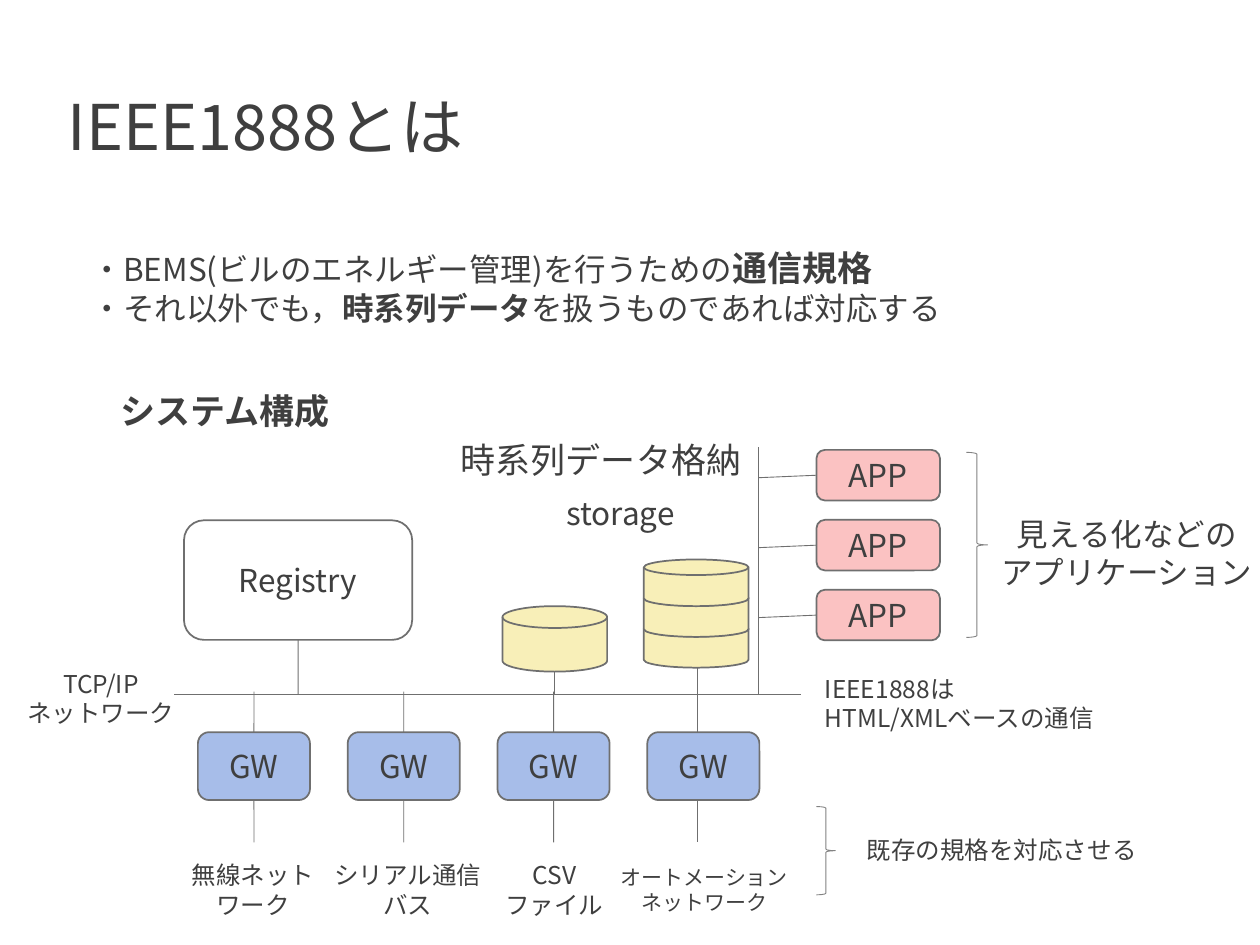
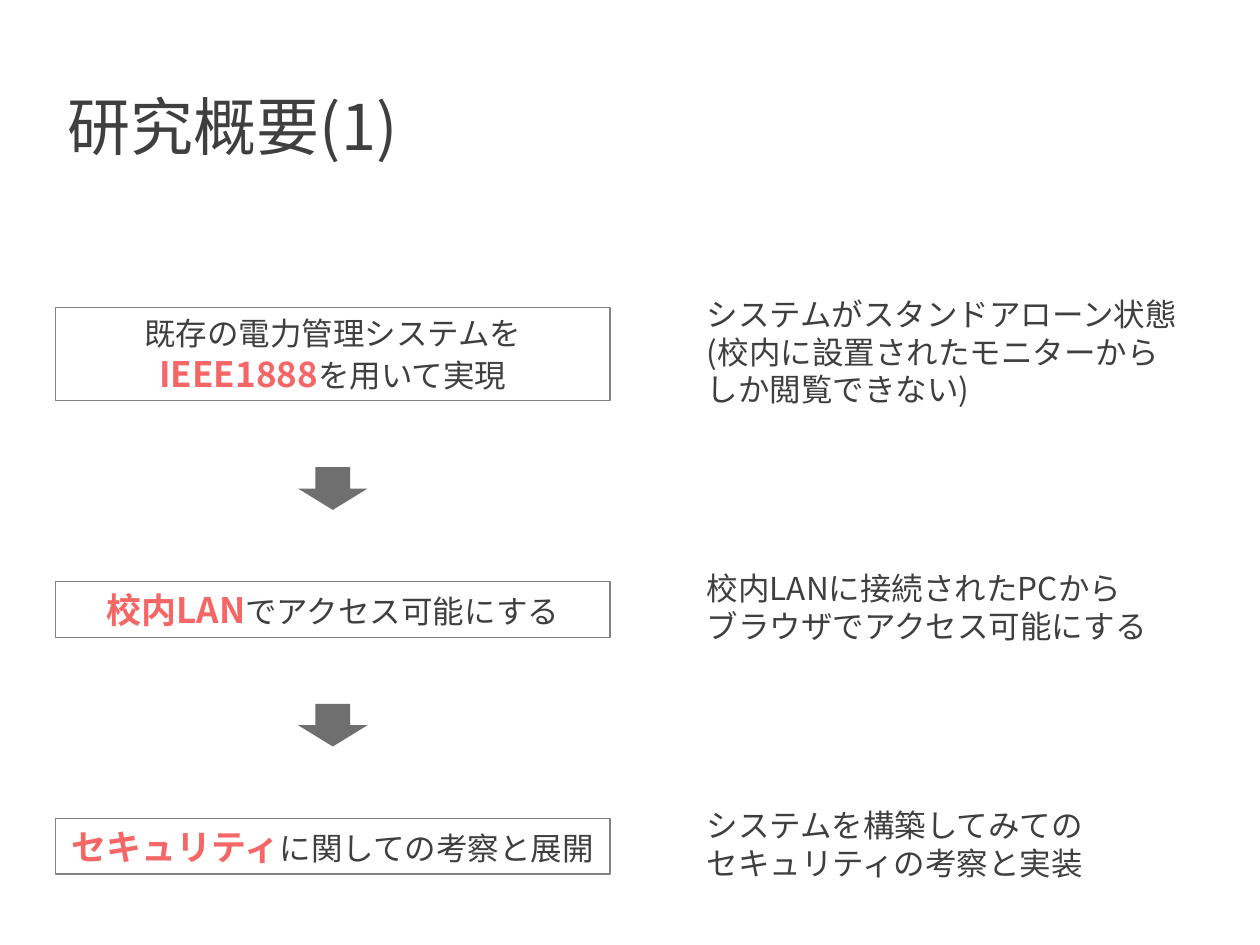
from lxml import etree
from pptx import Presentation
from pptx.dml.color import RGBColor
from pptx.enum.shapes import MSO_CONNECTOR, MSO_SHAPE
from pptx.enum.text import MSO_ANCHOR, MSO_AUTO_SIZE, PP_ALIGN
from pptx.oxml.ns import qn
from pptx.util import Cm, Pt

FONT = "Noto Sans CJK JP"
INK = RGBColor(0x3F, 0x3F, 0x3F)
GREY = RGBColor(0x6F, 0x6F, 0x6F)
OUTLINE = RGBColor(0x82, 0x82, 0x82)
ACCENT = RGBColor(0xF5, 0x67, 0x67)
WHITE = RGBColor(0xFF, 0xFF, 0xFF)
BLUE = RGBColor(0xA7, 0xBD, 0xE9)
PINK = RGBColor(0xFB, 0xC2, 0xC2)
YELLOW = RGBColor(0xF8, 0xEF, 0xB8)
LEFT, CENTER = PP_ALIGN.LEFT, PP_ALIGN.CENTER
TOP_SIDE, LEFT_SIDE, BOTTOM_SIDE = 0, 1, 2
MARGIN = 1.12


# Text: each line is a string or a list of strings and (text, style) spans
def write(frame, lines, size=18, align=LEFT):
    frame.word_wrap = True
    for index, line in enumerate(lines):
        para = frame.paragraphs[0] if index == 0 else frame.add_paragraph()
        para.alignment = align
        para.font.size = Pt(size)
        para.font.color.rgb = INK
        para.font.name = FONT
        latin = para.font._element.find(qn("a:latin"))
        east_asian = etree.Element(qn("a:ea"), typeface=FONT)
        latin.addnext(east_asian)
        for part in [line] if isinstance(line, str) else line:
            text, style = (part, {}) if isinstance(part, str) else part
            span = para.add_run()
            span.text = text
            if style:
                span.font.bold = True
            if "size" in style:
                span.font.size = Pt(style["size"])
            if "color" in style:
                span.font.color.rgb = style["color"]


def strong(text, **style):
    return text, {"bold": True, **style}


def key(text):
    return strong(text, size=20, color=ACCENT)


def add_text(page, left, top, width, height, lines, size=18, align=LEFT):
    box = page.shapes.add_textbox(Cm(left), Cm(top), Cm(width), Cm(height))
    write(box.text_frame, lines, size, align)
    box.text_frame.auto_size = MSO_AUTO_SIZE.SHAPE_TO_FIT_TEXT


def add_title(page, text):
    add_text(page, MARGIN, 1.63, 12.24, 1.8, [text], 36)


# Shapes and lines
def add_figure(page, kind, left, top, width, height, fill=None,
               line=GREY, weight=1, lines=()):
    figure = page.shapes.add_shape(kind, Cm(left), Cm(top), Cm(width), Cm(height))
    figure.shadow.inherit = False
    if fill is None:
        figure.fill.background()
    else:
        figure.fill.solid()
        figure.fill.fore_color.rgb = fill
    if line is None:
        figure.line.fill.background()
    else:
        figure.line.color.rgb = line
        figure.line.width = Pt(weight)
    if lines:
        write(figure.text_frame, lines, align=CENTER)
        figure.text_frame.vertical_anchor = MSO_ANCHOR.MIDDLE
    return figure


def add_node(page, left, top, width, height, fill, label):
    return add_figure(page, MSO_SHAPE.ROUNDED_RECTANGLE, left, top, width, height,
                      fill, lines=[label])


def add_disk(page, left, top, height):
    add_figure(page, MSO_SHAPE.FLOWCHART_MAGNETIC_DISK, left, top, 2.11, height, YELLOW)


def add_brace(page, left, top, width, height):
    add_figure(page, MSO_SHAPE.RIGHT_BRACE, left, top, width, height,
               line=OUTLINE, weight=0.5)


def add_line(page, x1, y1, x2, y2, begin=None, end=None):
    line = page.shapes.add_connector(MSO_CONNECTOR.STRAIGHT,
                                     Cm(x1), Cm(y1), Cm(x2), Cm(y2))
    line.line.color.rgb = GREY
    line.line.width = Pt(0.5)
    etree.SubElement(line._element.spPr, qn("a:effectLst"))
    if begin:
        line.begin_connect(*begin)
    if end:
        line.end_connect(*end)


# Slide 1: system structure
def add_gateways(page, bus_y):
    left, top, width, height, pitch = 3.99, 14.76, 2.26, 1.37, 3.02
    bottom = top + height
    storage_x = 14.05
    labels = [
        (3.2, 17.22, 3.81, 1.45, ["無線ネット", "ワーク"], 14),
        (6.32, 17.22, 3.81, 1.45, ["シリアル通信", "バス"], 14),
        (9.27, 17.22, 3.81, 1.45, ["CSV", "ファイル"], 14),
        (12.04, 17.3, 4.32, 1.27, ["オートメーション", "ネットワーク"], 12),
    ]
    for index, label in enumerate(labels):
        gateway = add_node(page, left + index * pitch, top, width, height, BLUE, "GW")
        # The last gateway hangs below the storage, beside its own middle
        last = index == len(labels) - 1
        x = storage_x if last else left + index * pitch + width / 2
        add_line(page, x, bus_y - 0.06, x, top,
                 end=None if last else (gateway, TOP_SIDE))
        add_line(page, x, bottom, x, bottom + 0.85,
                 begin=None if last else (gateway, BOTTOM_SIDE))
        add_text(page, *label, align=CENTER)


def add_applications(page, trunk_x):
    left, top, width, height, pitch = 16.46, 9.07, 2.49, 1.02, 1.41
    for index in range(3):
        y = top + index * pitch
        application = add_node(page, left, y, width, height, PINK, "APP")
        middle = y + height / 2
        add_line(page, trunk_x, middle + 0.05, left, middle,
                 end=(application, LEFT_SIDE))
    add_brace(page, 19.48, 9.12, 0.43, 3.73)
    add_text(page, 19.3, 10.26, 6.83, 1.8, ["見える化などの", "アプリケーション"],
             align=CENTER)


def add_storage(page, bus_y):
    add_disk(page, 10.13, 12.22, 1.32)
    for level in range(3):
        add_disk(page, 12.98, 12.52 - level * 0.62, 0.94)
    add_line(page, 11.18, 13.54, 11.18, bus_y)
    add_line(page, 14.05, 13.46, 14.05, bus_y)
    add_text(page, 10.97, 9.83, 3.07, 1.02, ["storage"], align=CENTER)
    add_text(page, 9.04, 8.71, 6.83, 1.12, ["時系列データ格納"], 20)


def build_structure(page):
    add_title(page, "IEEE1888とは")
    add_text(page, 1.6, 4.85, 22.8, 2.64, [
        ["・BEMS(ビルのエネルギー管理)を行うための", strong("通信規格", size=20)],
        ["・それ以外でも，", strong("時系列データ"), "を扱うものであれば対応する"],
    ])
    add_text(page, MARGIN, 7.72, 6.83, 1.12, [[strong("システム構成")]], 20, CENTER)

    # Network bus and trunk to the applications
    bus_y, trunk_x = 14.0, 15.29
    add_line(page, 3.51, bus_y, 16.15, bus_y)
    add_line(page, trunk_x, 9.02, trunk_x, bus_y)
    registry = add_node(page, 3.71, 10.49, 4.6, 2.41, WHITE, "Registry")
    add_line(page, 6.01, 12.9, 6.01, bus_y, begin=(registry, BOTTOM_SIDE))

    add_gateways(page, bus_y)
    add_applications(page, trunk_x)
    add_storage(page, bus_y)

    # Side remarks
    add_text(page, 0.13, 13.36, 3.81, 1.45, ["TCP/IP", "ネットワーク"], 14, CENTER)
    add_text(page, 16.38, 13.46, 6.5, 1.45,
             ["IEEE1888は", "HTML/XMLベースの通信"], 14)
    add_brace(page, 16.46, 16.26, 0.38, 1.78)
    add_text(page, 17.22, 16.71, 6.5, 0.86, ["既存の規格を対応させる"], 14)


# Slide 2: research steps, each with its remark
def build_overview(page):
    add_title(page, "研究概要(1)")
    steps = [
        (1.88, ["既存の電力管理システムを", [key("IEEE1888"), "を用いて実現"]],
         2.57, ["システムがスタンドアローン状態", "(校内に設置されたモニターから",
                "しか閲覧できない)"]),
        (1.12, [[key("校内LAN"), "でアクセス可能にする"]],
         1.8, ["校内LANに接続されたPCから", "ブラウザでアクセス可能にする"]),
        (1.12, [[key("セキュリティ"), "に関しての考察と展開"]],
         1.8, ["システムを構築してみての", "セキュリティの考察と実装"]),
    ]
    step_width, arrow_width, arrow_height = 11.18, 1.4, 0.86
    gap_above, gap_below = 1.34, 1.45
    top = 6.2
    for index, (height, lines, remark_height, remark) in enumerate(steps):
        if index:
            add_figure(page, MSO_SHAPE.DOWN_ARROW,
                       MARGIN + (step_width - arrow_width) / 2,
                       top - gap_below - arrow_height,
                       arrow_width, arrow_height, GREY, line=None)
        step = add_figure(page, MSO_SHAPE.RECTANGLE, MARGIN, top, step_width, height,
                          line=OUTLINE, weight=0.75, lines=lines)
        step.text_frame.auto_size = MSO_AUTO_SIZE.SHAPE_TO_FIT_TEXT
        add_text(page, 14.0, top - 0.38, 10.9, remark_height, remark)
        top += height + gap_above + arrow_height + gap_below


def main():
    deck = Presentation()
    deck.slide_width, deck.slide_height = Cm(25.4), Cm(19.05)
    blank = deck.slide_layouts[6]
    for build in (build_structure, build_overview):
        build(deck.slides.add_slide(blank))
    deck.save("out.pptx")


if __name__ == "__main__":
    main()
